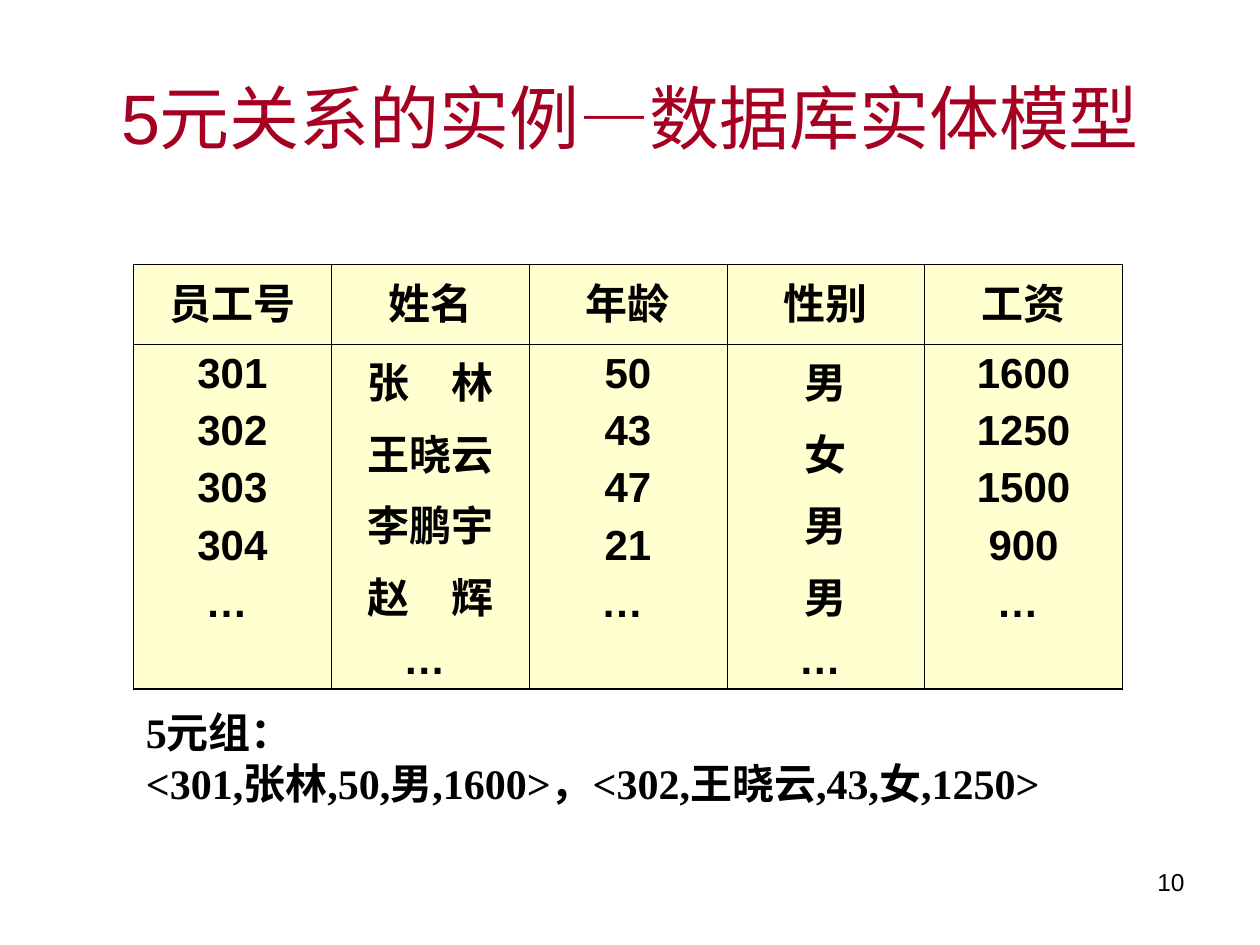
from pptx import Presentation
from pptx.dml.color import RGBColor
from pptx.enum import text
from pptx.oxml import parse_xml
from pptx.oxml.ns import nsdecls, qn
from pptx.util import Inches, Pt

# Content
TITLE = "5元关系的实例—数据库实体模型"
COLUMNS = [
    ("员工号", ["301", "302", "303", "304", "… "]),
    ("姓名", ["张　林", "王晓云", "李鹏宇", "赵　辉", "… "]),
    ("年龄", ["50", "43", "47", "21", "… "]),
    ("性别", ["男", "女", "男", "男", "… "]),
    ("工资", ["1600", "1250", "1500", "900", "… "]),
]
TUPLES = ["5元组：", "<301,张林,50,男,1600>，<302,王晓云,43,女,1250>"]
PAGE = "10"

COL_WIDTH = 1.57
ROW_HEIGHTS = [0.63, 2.44]
THIN, THICK = 0.45, 1.08


def color(value):
    return RGBColor.from_string(value)


def write(tf, lines, size, align, font="Arial", ink="000000", bold=False, gap=0):
    for i, line in enumerate(lines):
        p = tf.paragraphs[0] if i == 0 else tf.add_paragraph()
        p.text = line
        p.alignment = align
        if i:
            p.space_before = Pt(gap)
        p.font.name, p.font.size, p.font.bold = font, Pt(size), bold
        p.font.color.rgb = color(ink)


def add_text(s, box, lines, size, align, **style):
    tf = s.shapes.add_textbox(*map(Inches, box)).text_frame
    tf.word_wrap = True
    write(tf, lines, size, align, **style)


def style_cell(cell, widths):
    """Half-transparent fill, and border widths for left, right, top, bottom."""
    cell.fill.solid()
    cell.fill.fore_color.rgb = color("FFFFA3")
    tcPr = cell._tc.get_or_add_tcPr()
    tcPr.find(".//" + qn("a:srgbClr")).append(
        parse_xml(f'<a:alpha {nsdecls("a")} val="50000"/>'))
    for i, (side, width) in enumerate(zip("LRTB", widths)):
        tcPr.insert(i, parse_xml(
            f'<a:ln{side} {nsdecls("a")} w="{Pt(width)}"><a:solidFill>'
            f'<a:srgbClr val="000000"/></a:solidFill></a:ln{side}>'))


prs = Presentation()
prs.slide_width, prs.slide_height = Inches(10), Inches(7.5)
s = prs.slides.add_slide(prs.slide_layouts[5])

# Title
title = s.shapes.title
title.left, title.top, title.width, title.height = map(Inches, (0.5, 0.3, 9, 1.25))
tf = title.text_frame
tf.auto_size = text.MSO_AUTO_SIZE.NONE
tf.vertical_anchor = text.MSO_ANCHOR.MIDDLE
write(tf, [TITLE], 40, text.PP_ALIGN.CENTER, ink="A50021")

# Employee table: one header row, one row holding each column's values
last = len(COLUMNS) - 1
table = s.shapes.add_table(
    2, len(COLUMNS), Inches(1.06), Inches(2.1),
    Inches(COL_WIDTH * len(COLUMNS)), Inches(sum(ROW_HEIGHTS))).table
table.first_row = table.horz_banding = False
for row, height in zip(table.rows, ROW_HEIGHTS):
    row.height = Inches(height)
for c, (header, values) in enumerate(COLUMNS):
    table.columns[c].width = Inches(COL_WIDTH)
    for r, lines in enumerate([[header], values]):
        cell = table.cell(r, c)
        write(cell.text_frame, lines, 24, text.PP_ALIGN.CENTER, bold=True, gap=6)
        outer = (c == 0, c == last, r == 0, r == 1)
        style_cell(cell, [THICK if edge else THIN for edge in outer])

# Tuples and page number
add_text(s, (1.06, 5.56, 8.03, 1.3), TUPLES, 24, text.PP_ALIGN.LEFT,
         font="Times New Roman", bold=True)
add_text(s, (7.17, 6.83, 2.33, 0.52), [PAGE], 14, text.PP_ALIGN.RIGHT)

prs.save("out.pptx")
